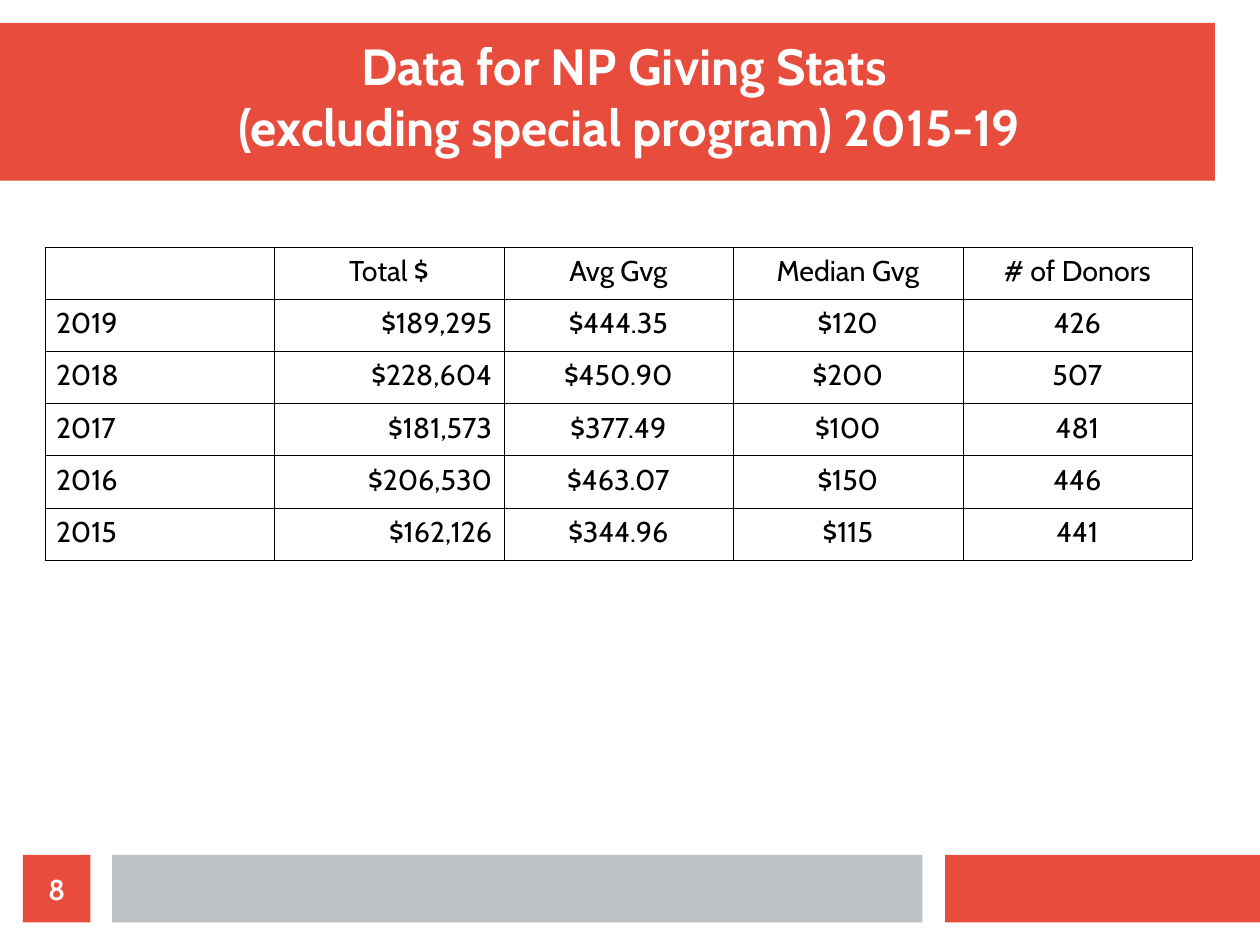
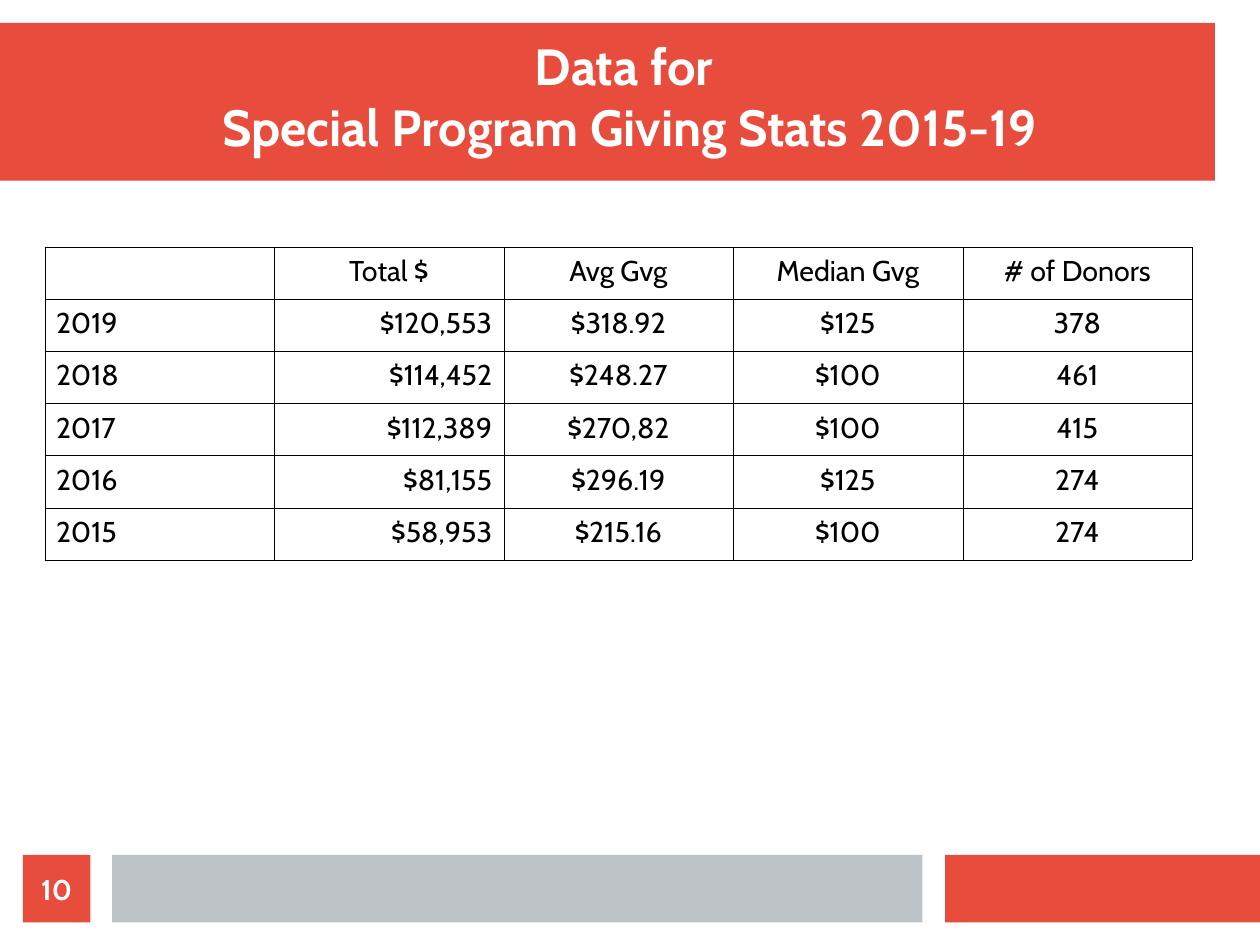
from dataclasses import dataclass

from lxml import etree
from pptx import Presentation
from pptx import util as u
from pptx.dml.color import RGBColor
from pptx.enum import shapes, text
from pptx.oxml.ns import qn

Align = text.PP_ALIGN
Anchor = text.MSO_ANCHOR


# Shared look
@dataclass(frozen=True)
class Theme:
    red: str = "E74C3C"
    gray: str = "BDC3C7"
    white: str = "FFFFFF"
    black: str = "000000"
    font: str = "Cabin"
    head: int = 32
    body: int = 18
    rule: int = 720  # table border width in EMU


@dataclass(frozen=True)
class Box:
    left: float
    top: float
    wide: float
    high: float

    def place(self) -> tuple:
        return tuple(u.Inches(n) for n in (self.left, self.top, self.wide, self.high))


@dataclass(frozen=True)
class Bar:
    box: Box
    fill: str


@dataclass(frozen=True)
class Page:
    number: int
    title: str
    rows: tuple


LOOK = Theme()
FOOT, SIDE = 7.48, 0.59
TITLE = Box(0.39, 0.39, 10.24, 0.98)
GRID = Box(0.39, 2.16, 10.04, 2.74)
BADGE = Bar(Box(0.2, FOOT, SIDE, SIDE), LOOK.red)
BARS = (
    Bar(Box(0, 0.2, 10.63, 1.38), LOOK.red),
    Bar(Box(8.27, FOOT, 2.76, SIDE), LOOK.red),
    Bar(Box(0.98, FOOT, 7.09, SIDE), LOOK.gray),
)

# Table content
HEADS = ("", "Total $", "Avg Gvg", "Median Gvg", "# of Donors")
ALIGNS = (Align.LEFT, Align.RIGHT, Align.CENTER, Align.CENTER, Align.CENTER)
PAGES = (
    Page(8, "Data for NP Giving Stats \n(excluding special program) 2015-19", (
        ("2019", "$189,295", "$444.35", "$120", "426"),
        ("2018", "$228,604", "$450.90", "$200", "507"),
        ("2017", "$181,573", "$377.49", "$100", "481"),
        ("2016", "$206,530", "$463.07", "$150", "446"),
        ("2015", "$162,126", "$344.96", "$115", "441"),
    )),
    Page(10, "Data for \nSpecial Program Giving Stats 2015-19", (
        ("2019", "$120,553", "$318.92", "$125", "378"),
        ("2018", "$114,452", "$248.27", "$100", "461"),
        ("2017", "$112,389", "$270,82", "$100", "415"),
        ("2016", "$81,155", "$296.19", "$125", "274"),
        ("2015", "$58,953", "$215.16", "$100", "274"),
    )),
)


def write(frame, words: str, size: int, color: str, align, bold: bool = False):
    """Fill the frame's first paragraph and format its runs."""
    para = frame.paragraphs[0]
    para.text = words
    para.alignment = align
    for run in para.runs:
        font = run.font
        font.name, font.size, font.bold = LOOK.font, u.Pt(size), bold
        font.color.rgb = RGBColor.from_string(color)
    return para


def trim(frame, anchor) -> None:
    """Remove the insets and fix the size of a text frame."""
    frame.margin_left = frame.margin_right = 0
    frame.margin_top = frame.margin_bottom = 0
    frame.word_wrap = True
    frame.auto_size = text.MSO_AUTO_SIZE.NONE
    frame.vertical_anchor = anchor


def draw_bar(slide, bar: Bar):
    shape = slide.shapes.add_shape(shapes.MSO_SHAPE.RECTANGLE, *bar.box.place())
    shape.shadow.inherit = False
    shape.fill.solid()
    shape.fill.fore_color.rgb = RGBColor.from_string(bar.fill)
    shape.line.fill.background()
    return shape


def draw_badge(slide, number: int) -> None:
    frame = draw_bar(slide, BADGE).text_frame
    trim(frame, Anchor.MIDDLE)
    write(frame, str(number), LOOK.body, LOOK.white, Align.CENTER, True)


def draw_title(slide, words: str) -> None:
    title = slide.shapes.title
    title.left, title.top, title.width, title.height = TITLE.place()
    trim(title.text_frame, Anchor.BOTTOM)
    write(title.text_frame, words, LOOK.head, LOOK.white, Align.CENTER, True)
    for br in title.element.iter(qn("a:br")):
        etree.SubElement(br, qn("a:rPr"), sz=str(LOOK.head * 100))
    # Bring the title in front of the band
    title.element.getparent().append(title.element)


def edge(cell) -> None:
    """Rule all four sides of a cell and clear its fill."""
    props = cell._tc.get_or_add_tcPr()
    for side in ("a:lnL", "a:lnR", "a:lnT", "a:lnB"):
        line = etree.SubElement(props, qn(side), w=str(LOOK.rule))
        fill = etree.SubElement(line, qn("a:solidFill"))
        etree.SubElement(fill, qn("a:srgbClr"), val=LOOK.black)
    cell.fill.background()


def draw_table(slide, rows: tuple) -> None:
    data = (HEADS, *rows)
    table = slide.shapes.add_table(len(data), len(HEADS), *GRID.place()).table
    table.first_row = table.horz_banding = False
    for r, row in enumerate(data):
        for c, words in enumerate(row):
            cell = table.cell(r, c)
            edge(cell)
            align = ALIGNS[c] if r else Align.CENTER
            para = write(cell.text_frame, words, LOOK.body, LOOK.black, align)
            para.line_spacing = 1.04


def main() -> None:
    deck = Presentation()
    # The page is an exact 28 by 21 cm
    deck.slide_width = u.Cm(28)
    deck.slide_height = u.Cm(21)
    layout = deck.slide_layouts.get_by_name("Title Only")
    for page in PAGES:
        slide = deck.slides.add_slide(layout)
        for bar in BARS:
            draw_bar(slide, bar)
        draw_badge(slide, page.number)
        draw_title(slide, page.title)
        draw_table(slide, page.rows)
    deck.save("out.pptx")


if __name__ == "__main__":
    main()
